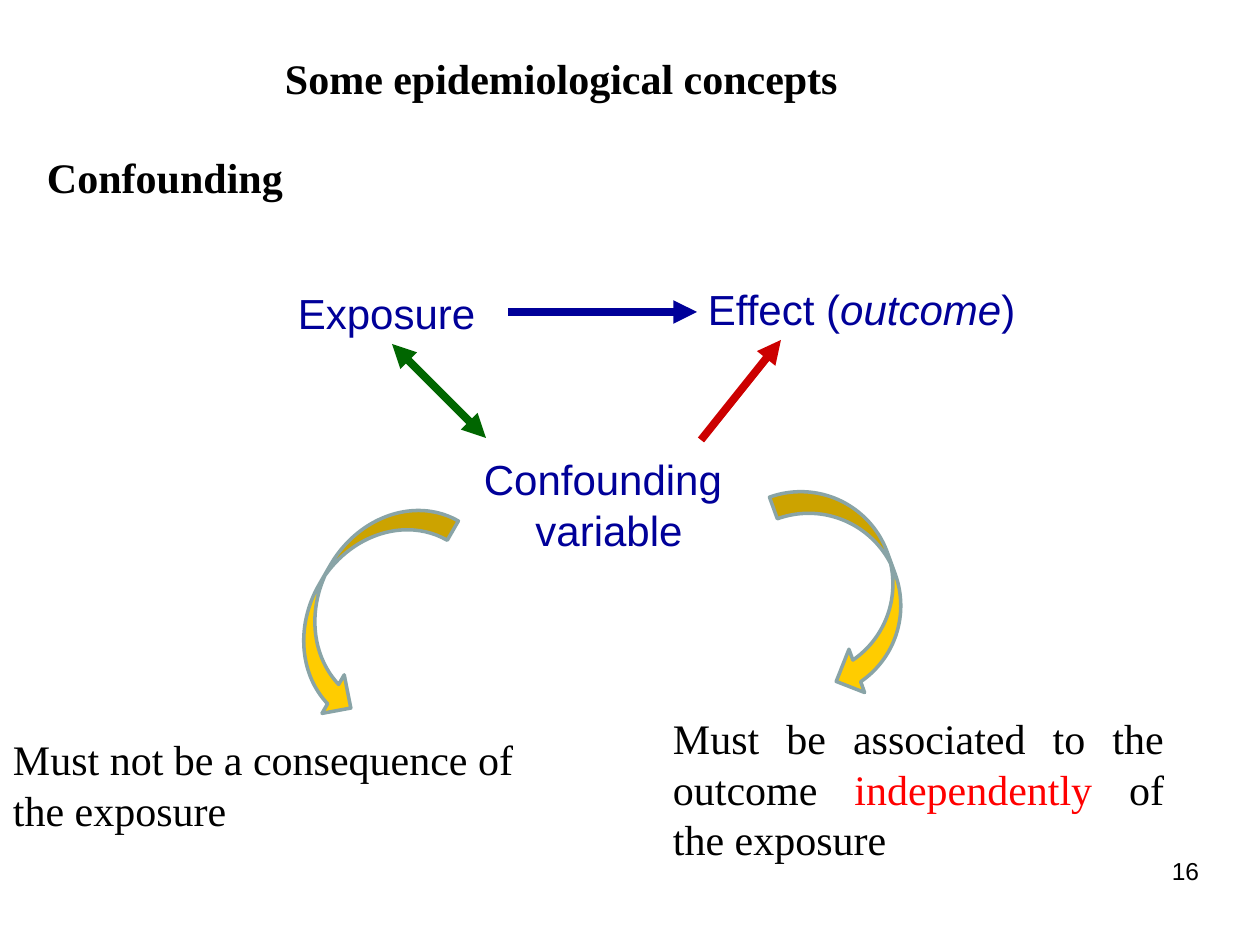
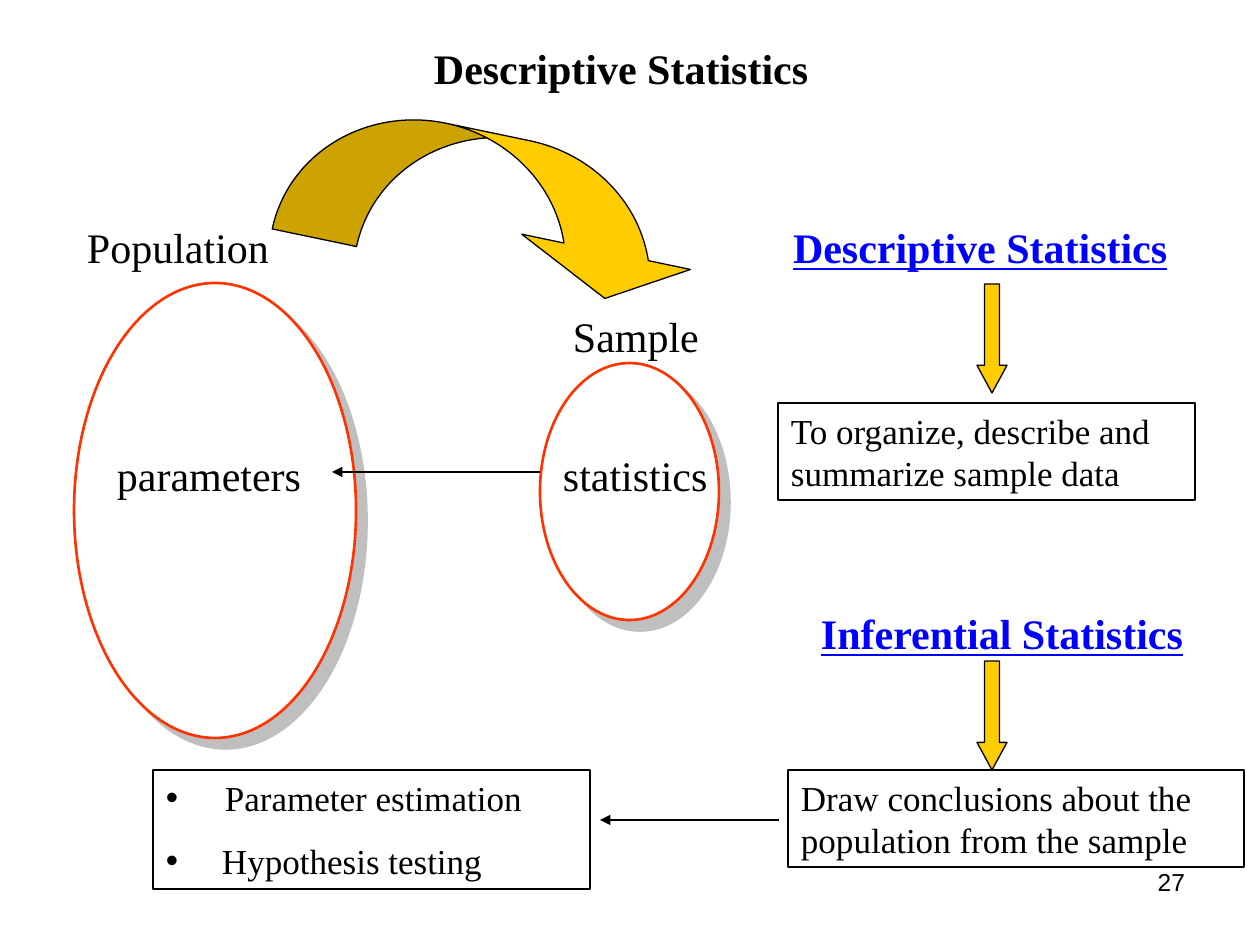
from lxml.etree import SubElement as Sub
from pptx import Presentation
from pptx.dml.color import RGBColor
from pptx.enum.shapes import MSO_CONNECTOR as Link, MSO_SHAPE as Kind
from pptx.enum.text import MSO_ANCHOR as Anchor, PP_ALIGN as Align
from pptx.oxml.ns import qn
from pptx.util import Emu, Pt

SCALE = 914400 / 126
SERIF, SANS = "Times New Roman", "Arial"
BLACK, WHITE, GOLD = "000000", "FFFFFF", "FFCC00"
NAVY, BLUE, RED = "000099", "0000FF", "FF0000"
GREEN, CRIMSON, ORANGE, STEEL = "006600", "CC0000", "FF3300", "89A4A7"
GRAY = "808080"


def px(*nums):
    """Turn px lengths into EMU."""
    return [Emu(round(n * SCALE)) for n in nums]


def hue(code):
    """Turn a hex string into a colour."""
    return RGBColor.from_string(code)


def setup(frame, pad=(13, 6)):
    """Set the insets, wrapping and anchor of a text frame."""
    side, top = px(*pad)
    frame.margin_left = frame.margin_right = side
    frame.margin_top = frame.margin_bottom = top
    frame.word_wrap = True
    frame.vertical_anchor = Anchor.TOP
    return frame


def run(para, text, size=24, face=SERIF, color=BLACK, **marks):
    """Add one run with its font."""
    part = para.add_run()
    part.text = text
    font = part.font
    font.size, font.name = Pt(size), face
    font.color.rgb = hue(color)
    for mark, value in marks.items():
        setattr(font, mark, value)


def label(slide, box, text, align=Align.LEFT, pad=(13, 6), **style):
    """Add a text box of one run and return its paragraph."""
    frame = setup(slide.shapes.add_textbox(*px(*box)).text_frame, pad)
    para = frame.paragraphs[0]
    para.alignment = align
    run(para, text, **style)
    return para


def indent(para, left, first=0):
    """Indent a paragraph by px."""
    props = para._p.get_or_add_pPr()
    for name, value in zip(("marL", "indent"), px(left, first)):
        props.set(name, str(value))
    return props


def shape(slide, kind, box, fill=None, line=BLACK, width=0.75, turn=0, adj=()):
    """Add a preset shape with its fill and outline."""
    item = slide.shapes.add_shape(kind, *px(*box))
    item.shadow.inherit = False
    if fill:
        item.fill.solid()
        item.fill.fore_color.rgb = hue(fill)
    else:
        item.fill.background()
    item.line.color.rgb = hue(line)
    item.line.width = Pt(width)
    item.rotation = turn
    for i, value in enumerate(adj):
        item.adjustments[i] = value
    return item


def arrow(slide, start, end, color=BLACK, width=0.75, ends=("tailEnd",)):
    """Add a straight line with arrowheads."""
    item = slide.shapes.add_connector(Link.STRAIGHT, *px(*start, *end))
    item.line.color.rgb = hue(color)
    item.line.width = Pt(width)
    for end_tag in ends:
        Sub(item.line._get_or_add_ln(), qn("a:" + end_tag), type="triangle")
    Sub(item._element.spPr, qn("a:effectLst"))


def title(slide, box, text):
    """Add a bold heading."""
    label(slide, box, text, bold=True)


def number(slide, x, y, text):
    """Add the page number."""
    label(slide, (x, y, 294, 66), text, Align.RIGHT, size=14, face=SANS)


def triad(slide, x, y):
    """Draw the three linked variables."""
    style = dict(face=SANS, color=NAVY)
    label(slide, (x, y + 4, 200, 50), "Exposure", pad=(0, 0), **style)
    para = label(slide, (x + 410, y, 330, 50), "Effect (", pad=(0, 0), **style)
    run(para, "outcome", italic=True, **style)
    run(para, ")", **style)

    box = slide.shapes.add_textbox(*px(x + 165, y + 170, 280, 101))
    frame = setup(box.text_frame, (0, 0))
    rows = frame.paragraphs[0], frame.add_paragraph()
    for para, word in zip(rows, ("Confounding", "variable")):
        para.alignment = Align.CENTER
        run(para, word, **style)
    indent(rows[1], 12)

    both = ("headEnd", "tailEnd")
    arrow(slide, (x + 94, y + 60), (x + 188, y + 154), GREEN, 4.5, both)
    arrow(slide, (x + 210, y + 28), (x + 399, y + 28), NAVY, 4.5)
    arrow(slide, (x + 403, y + 156), (x + 483, y + 56), CRIMSON, 4.5)


def rules(slide, x, y):
    """Draw the two conditions and the curved arrows to them."""
    for kind, box, turn in (
        (Kind.CURVED_RIGHT_ARROW, (x + 316, y + 8, 89, 238), 29.9),
        (Kind.CURVED_LEFT_ARROW, (x + 804, y, 92, 219), 340.1),
    ):
        shape(slide, kind, box, GOLD, STEEL, 2, turn)
    label(slide, (x, y + 253, 541, 113),
          "Must not be a consequence of the exposure")
    para = label(slide, (x + 660, y + 232, 517, 164),
                 "Must be associated to the outcome ", Align.JUSTIFY)
    run(para, "independently ", color=RED)
    run(para, "of the exposure")


def group(slide, box, name, word, name_at, word_at):
    """Draw a shadowed oval with a name above and a word inside."""
    x, y = box[:2]
    oval = shape(slide, Kind.OVAL, box, WHITE, ORANGE, 1.5)
    effects = oval._element.spPr.find(qn("a:effectLst"))
    shade = Sub(effects, qn("a:outerShdw"), blurRad="0",
                dist=str(Pt(8.5)), dir="2700000", algn="ctr", rotWithShape="0")
    tint = Sub(shade, qn("a:srgbClr"), val=GRAY)
    Sub(tint, qn("a:alpha"), val="50000")
    for text, (dx, dy) in ((name, name_at), (word, word_at)):
        label(slide, (x + dx, y + dy, 238, 63), text)


def study(slide, x, y):
    """Draw the population, the sample and the arrows between them."""
    group(slide, (x + 466, y + 228, 179, 257), "Sample", "statistics",
          (20, -58), (10, 81))
    group(slide, (x, y + 148, 282, 455), "Population", "parameters",
          (0, -67), (30, 161))
    shape(slide, Kind.CURVED_DOWN_ARROW, (x + 208, y, 426, 139), GOLD,
          turn=11.8, adj=(0.62, 1.24, 0.33))
    arrow(slide, (x + 466, y + 337), (x + 258, y + 337))


def panel(slide, box):
    """Draw an outlined box and return its text frame."""
    return setup(shape(slide, Kind.RECTANGLE, box).text_frame)


def branch(slide, box, name, text, shift, rise, stem):
    """Draw a heading, a down arrow and the note below it."""
    x, y = box[:2]
    label(slide, (x + shift, y - rise, 445, 63), name,
          color=BLUE, bold=True, underline=True)
    shape(slide, Kind.DOWN_ARROW, (977, y - stem, 30, 109), GOLD,
          adj=(0.5, 0.92))
    para = panel(slide, box).paragraphs[0]
    para.alignment = Align.LEFT
    run(para, text, size=20)


def methods(slide, box):
    """Draw the bulleted box of methods."""
    frame = panel(slide, box)
    rows = frame.paragraphs[0], frame.add_paragraph()
    items = ("Parameter estimation", 59), ("Hypothesis testing", 56)
    for para, (text, left) in zip(rows, items):
        para.alignment = Align.LEFT
        props = indent(para, left, -left)
        Sub(props, qn("a:buFont"), typeface=SANS)
        Sub(props, qn("a:buChar"), char="•")
        run(para, text, size=20)
    rows[1].space_before = Pt(12.5)


def confound(slide):
    """Build the slide on confounding."""
    number(slide, 918, 850, "16")
    title(slide, (272, 47, 645, 63), "Some epidemiological concepts")
    title(slide, (34, 146, 1091, 63), "Confounding")
    triad(slide, 298, 284)
    rules(slide, 0, 475)


def describe(slide):
    """Build the slide on descriptive statistics."""
    number(slide, 904, 861, "27")
    title(slide, (421, 37, 456, 63), "Descriptive Statistics")
    study(slide, 74, 135)
    branch(slide, (778, 403, 417, 97), "Descriptive Statistics",
           "To organize, describe and summarize sample data", 2, 187, 119)
    branch(slide, (788, 770, 456, 97), "Inferential Statistics",
           "Draw conclusions about the population from the sample",
           20, 168, 109)
    methods(slide, (153, 770, 437, 119))
    arrow(slide, (779, 820), (600, 820))


def main():
    """Build and save the deck."""
    deck = Presentation()
    deck.slide_width, deck.slide_height = px(1260, 945)
    for build in (confound, describe):
        build(deck.slides.add_slide(deck.slide_layouts[6]))
    deck.save("out.pptx")


if __name__ == "__main__":
    main()
